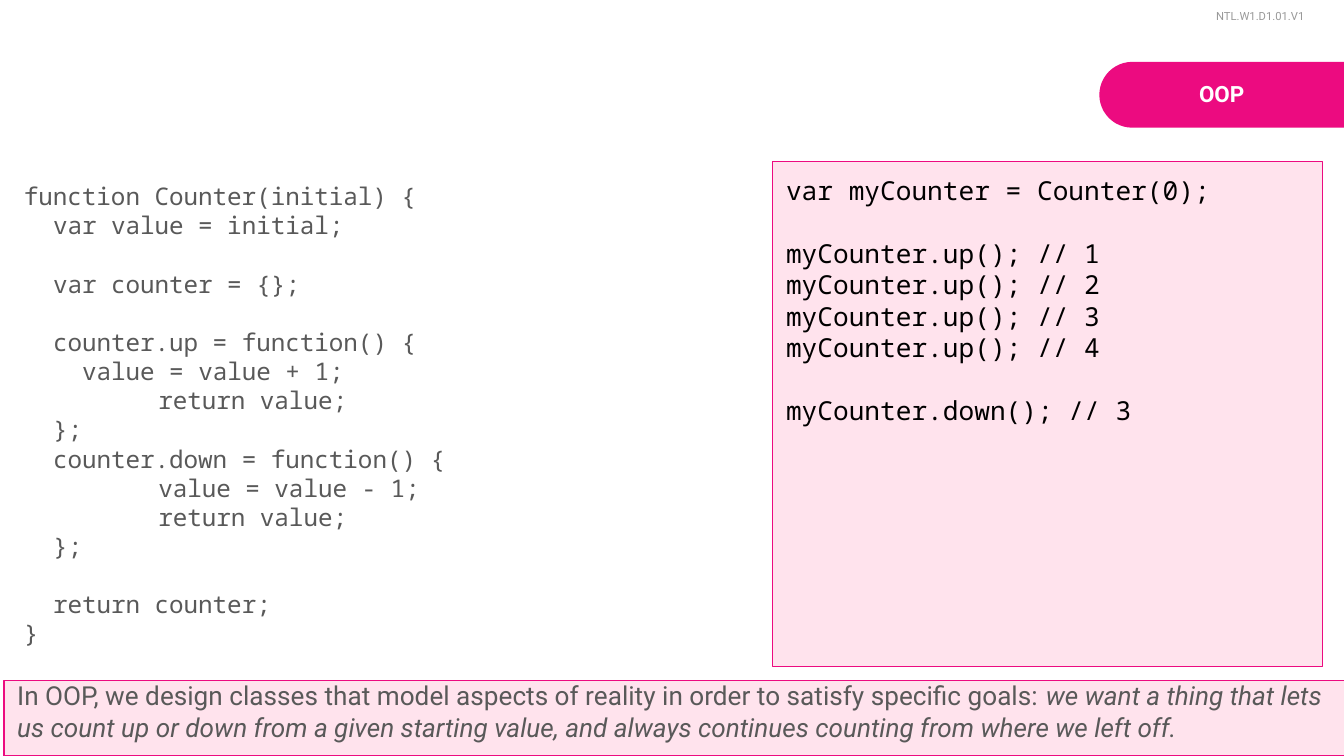
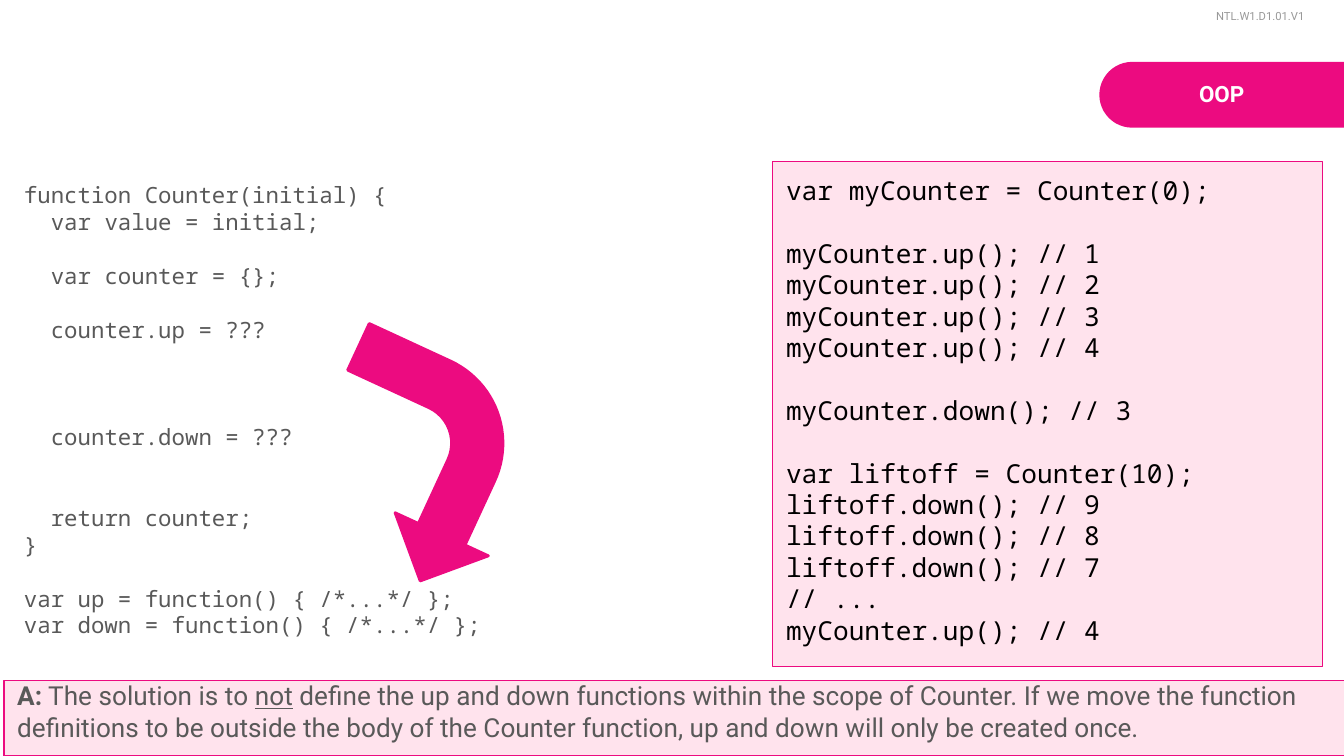
from dataclasses import dataclass

from lxml.etree import SubElement
from pptx import Presentation
from pptx.dml.color import RGBColor
from pptx.enum.shapes import MSO_SHAPE as Shape
from pptx.enum.text import MSO_ANCHOR as Anchor, MSO_AUTO_SIZE as AutoSize, PP_ALIGN as Align
from pptx.oxml.ns import qn
from pptx.util import Inches, Pt


@dataclass(frozen=True)
class Theme:
    pink: str = "EC0B80"
    tint: str = "FF7CAD"
    tint_alpha: int = 21
    ink: str = "595959"
    black: str = "000000"
    white: str = "FFFFFF"
    grey: str = "999999"
    sans: str = "Roboto"
    mono: str = "Noto Sans Mono"
    title_size: int = 12
    body_size: int = 14
    tag_size: int = 6
    inset: float = 0.1
    mono_width: float = 0.6   # advance of one character, in ems
    mono_leading: float = 1.2  # height of one line, in ems


T = Theme()
W = 10
H = W * 9 / 16
TITLE, VERSION = "OOP", "NTL.W1.D1.01.V1"
TAB = 9.23  # one inch, in columns of 13 pt code

# Code lines: (blank lines above, indent in columns, text)
COUNTER_HEAD = [
    (0, 0, "function Counter(initial) {"),
    (0, 2, "var value = initial;"),
    (1, 2, "var counter = {};"),
]
USAGE = [
    (0, 0, "var myCounter = Counter(0);"),
    (1, 0, "myCounter.up(); // 1"),
    (0, 0, "myCounter.up(); // 2"),
    (0, 0, "myCounter.up(); // 3"),
    (0, 0, "myCounter.up(); // 4"),
    (1, 0, "myCounter.down(); // 3"),
]
SLIDES = [
    {
        "code_size": 13,
        "code": COUNTER_HEAD + [
            (1, 2, "counter.up = function() {"),
            (0, 4, "value = value + 1;"),
            (0, TAB, "return value;"),
            (0, 2, "};"),
            (0, 2, "counter.down = function() {"),
            (0, TAB, "value = value - 1;"),
            (0, TAB, "return value;"),
            (0, 2, "};"),
            (1, 2, "return counter;"),
            (0, 0, "}"),
        ],
        "usage": USAGE,
        "note": [
            ("In OOP, we design classes that model aspects of reality in order "
             "to satisfy specific goals: ", {}),
            ("we want a thing that lets us count up or down from a given starting value, "
             "and always continues counting from where we left off.", {"italic": True}),
        ],
        "arrow": False,
    },
    {
        "code_size": 12,
        "code": COUNTER_HEAD + [
            (1, 2, "counter.up = ???"),
            (3, 2, "counter.down = ???"),
            (2, 2, "return counter;"),
            (0, 0, "}"),
            (1, 0, "var up = function() { /*...*/ };"),
            (0, 0, "var down = function() { /*...*/ };"),
        ],
        "usage": USAGE + [
            (1, 0, "var liftoff = Counter(10);"),
            (0, 0, "liftoff.down(); // 9"),
            (0, 0, "liftoff.down(); // 8"),
            (0, 0, "liftoff.down(); // 7"),
            (0, 0, "// ..."),
            (0, 0, "myCounter.up(); // 4"),
        ],
        "note": [
            ("A:", {"bold": True}),
            (" The solution is to ", {}),
            ("not", {"underline": True}),
            (" define the up and down functions within the scope of Counter. If we move the "
             "function definitions to be outside the body of the Counter function, up and down "
             "will only be created once.", {}),
        ],
        "arrow": True,
    },
]


def rgb(color):
    return RGBColor.from_string(color)


def add_shape(s, kind, box, fill, line=None, alpha=None):
    """Add a flat preset shape; line is a width in points, alpha a percentage."""
    sp = s.shapes.add_shape(kind, *map(Inches, box))
    sp.shadow.inherit = False
    sp.fill.solid()
    sp.fill.fore_color.rgb = rgb(fill)
    if alpha is not None:
        color = sp._element.spPr.find(qn("a:solidFill"))[0]
        SubElement(color, qn("a:alpha")).set("val", str(alpha * 1000))
    if line:
        sp.line.color.rgb = rgb(T.pink)
        sp.line.width = Pt(line)
    else:
        sp.line.fill.background()
    return sp


def add_panel(s, box):
    return add_shape(s, Shape.RECTANGLE, box, T.tint, line=0.75, alpha=T.tint_alpha)


def add_textbox(s, box):
    return s.shapes.add_textbox(*map(Inches, box))


def frame(sp, anchor=Anchor.TOP, grow=False):
    """Prepare the text frame of a shape and return it."""
    tf = sp.text_frame
    tf.word_wrap = True
    tf.vertical_anchor = anchor
    tf.auto_size = AutoSize.SHAPE_TO_FIT_TEXT if grow else AutoSize.NONE
    for side in ("left", "top", "right", "bottom"):
        setattr(tf, f"margin_{side}", Inches(T.inset))
    return tf


def add_run(p, text, size, color, font=T.sans, **styles):
    r = p.add_run()
    r.text = text
    r.font.color.rgb = rgb(color)
    for name, value in {"name": font, "size": Pt(size), **styles}.items():
        setattr(r.font, name, value)


def write_code(sp, lines, size, color):
    tf = frame(sp)
    for i, (blanks, columns, text) in enumerate(lines):
        p = tf.add_paragraph() if i else tf.paragraphs[0]
        p.alignment = Align.LEFT
        p.space_before = Pt(blanks * size * T.mono_leading)
        indent = Pt(columns * size * T.mono_width)
        for name, value in {"marL": indent, "indent": 0}.items():
            p._p.get_or_add_pPr().set(name, str(value))
        add_run(p, text, size, color, T.mono)


def add_header(s):
    tab = add_shape(s, Shape.ROUND_2_SAME_RECTANGLE, (8.85, -0.21, 0.49, 1.83), T.pink)
    tab.rotation = 270
    tab.adjustments[0], tab.adjustments[1] = 0.5, 0

    p = frame(add_textbox(s, (8.23, 0.5, 1.72, 0.4)), grow=True).paragraphs[0]
    p.alignment = Align.CENTER
    add_run(p, TITLE, T.title_size, T.white, bold=True)

    p = frame(add_textbox(s, (8.95, 0, 0.97, 0.3)), grow=True).paragraphs[0]
    p.line_spacing = 1.15
    add_run(p, VERSION, T.tag_size, T.grey)


def add_note(s, runs):
    height = H / 10
    p = frame(add_panel(s, (0.03, H - height, W, height)), Anchor.BOTTOM).paragraphs[0]
    p.alignment = Align.LEFT
    for text, styles in runs:
        add_run(p, text, T.body_size, T.ink, **styles)


def add_move_arrow(s):
    arrow = add_shape(s, Shape.BENT_ARROW, (2.32, 2.68, 1.58, 1.53), T.pink, line=1.5)
    arrow.rotation = 114.8
    for i, value in enumerate((0.25, 0.25, 0.25, 0.44)):
        arrow.adjustments[i] = value


def build_slide(prs, content):
    s = prs.slides.add_slide(prs.slide_layouts[6])
    s.background.fill.solid()
    s.background.fill.fore_color.rgb = rgb(T.white)
    add_header(s)
    write_code(add_textbox(s, (0.08, 1.25, 4.83, 4.45)),
               content["code"], content["code_size"], T.ink)
    add_note(s, content["note"])
    write_code(add_panel(s, (5.75, 1.2, 4.09, 3.76)),
               content["usage"], T.body_size, T.black)
    if content["arrow"]:
        add_move_arrow(s)


def main():
    prs = Presentation()
    prs.slide_width, prs.slide_height = Inches(W), Inches(H)
    for content in SLIDES:
        build_slide(prs, content)
    prs.save("out.pptx")


if __name__ == "__main__":
    main()
